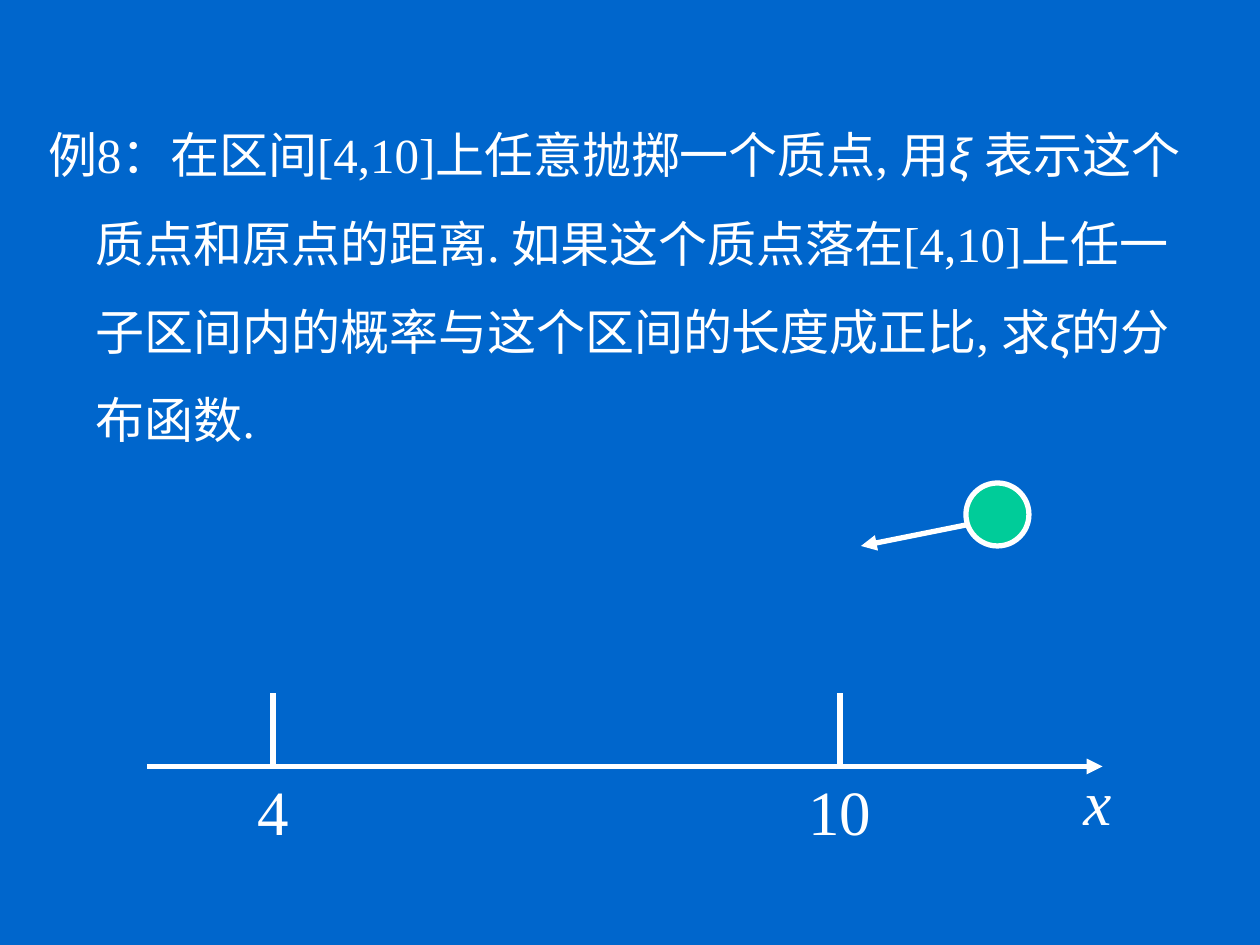
import pptx
import pptx.dml.color
import pptx.enum.shapes
import pptx.enum.text
import pptx.oxml
import pptx.oxml.ns
import pptx.util
from collections import namedtuple
from dataclasses import dataclass

# Grid: 120 columns by 90 rows, one cell is 1/12 inch
CELL = pptx.util.Inches(1) // 12
COLUMNS, ROWS = 120, 90

Box = namedtuple("Box", "left top width height")


@dataclass(frozen=True)
class Theme:
    background: str = "0066CC"
    ink: str = "FFFFFF"
    particle: str = "00CC99"
    font: str = "Times New Roman"
    symbol_font: str = "Arial"
    body_size: int = 28
    label_size: int = 36
    line_width: int = 3


THEME = Theme()


def grid(cells):
    return pptx.util.Emu(round(cells * CELL))


def color(value):
    return pptx.dml.color.RGBColor.from_string(value)


def style_line(line):
    line.color.rgb = color(THEME.ink)
    line.width = pptx.util.Pt(THEME.line_width)


def add_line(slide, start, end, arrow=False):
    connector = slide.shapes.add_connector(
        pptx.enum.shapes.MSO_CONNECTOR.STRAIGHT, *map(grid, (*start, *end)))
    style_line(connector.line)
    properties = connector._element.spPr
    if arrow:
        head = pptx.oxml.ns.qn("a:tailEnd")
        properties.find(pptx.oxml.ns.qn("a:ln")).makeelement
        line = connector.line._get_or_add_ln()
        line.append(line.makeelement(head, {"type": "triangle"}))
    properties.append(properties.makeelement(pptx.oxml.ns.qn("a:effectLst"), {}))


def add_text_box(slide, box, wrap):
    frame = slide.shapes.add_textbox(*map(grid, box)).text_frame
    frame.word_wrap = wrap
    return frame.paragraphs[0]


def add_run(paragraph, text, size, font=THEME.font, italic=False):
    run = paragraph.add_run()
    run.text = text
    run.font.name = font
    run.font.size = pptx.util.Pt(size)
    run.font.italic = italic
    run.font.color.rgb = color(THEME.ink)


def add_problem(slide, box):
    paragraph = add_text_box(slide, box, wrap=True)
    paragraph.line_spacing = 1.5
    # Hanging indent
    indent = pptx.util.Inches(0.38)
    properties = paragraph._p.get_or_add_pPr()
    properties.set("marL", str(indent))
    properties.set("indent", str(-indent))
    pieces = (
        ("例8：在区间[4,10]上任意抛掷一个质点, 用", False),
        ("ξ ", True),
        ("表示这个质点和原点的距离. 如果这个质点落在[4,10]"
         "上任一子区间内的概率与这个区间的长度成正比, 求", False),
        ("ξ", True),
        ("的分布函数.", False),
    )
    for text, is_symbol in pieces:
        font = THEME.symbol_font if is_symbol else THEME.font
        add_run(paragraph, text, THEME.body_size, font, is_symbol)


def add_label(slide, text, center, top, width, italic=False):
    box = Box(center - width / 2, top, width, 8.4)
    paragraph = add_text_box(slide, box, wrap=False)
    add_run(paragraph, text, THEME.label_size, italic=italic)


def add_number_line(slide, box):
    axis = box.top + box.height
    right = box.left + box.width
    add_line(slide, (box.left, axis), (right, axis), arrow=True)
    # Ticks: nine columns to each unit, the first twelve columns in
    for value, label_width in ((4, 5.4), (10, 8.4)):
        position = box.left + 12 + (value - 4) * 9
        add_line(slide, (position, axis), (position, box.top))
        add_label(slide, str(value), position, axis, label_width)
    add_label(slide, "x", right - 0.5, axis - 1, 5, italic=True)


def add_particle(slide, box):
    diameter = box.height * 0.75
    left = box.left + box.width - diameter
    ball = slide.shapes.add_shape(
        pptx.enum.shapes.MSO_SHAPE.OVAL,
        *map(grid, (left, box.top, diameter, diameter)))
    ball.shadow.inherit = False
    ball.fill.solid()
    ball.fill.fore_color.rgb = color(THEME.particle)
    style_line(ball.line)
    # Direction of flight
    add_line(slide, (left, box.top + box.height / 2),
             (box.left, box.top + box.height * 0.75), arrow=True)


def main():
    presentation = pptx.Presentation()
    presentation.slide_width = grid(COLUMNS)
    presentation.slide_height = grid(ROWS)
    slide = presentation.slides.add_slide(presentation.slide_layouts[6])
    slide.background.fill.solid()
    slide.background.fill.fore_color.rgb = color(THEME.background)
    add_problem(slide, Box(3.4, 8.5, 112.3, 31))
    add_number_line(slide, Box(14, 66, 91, 7))
    add_particle(slide, Box(82, 46, 16, 8))
    presentation.save("out.pptx")


if __name__ == "__main__":
    main()
